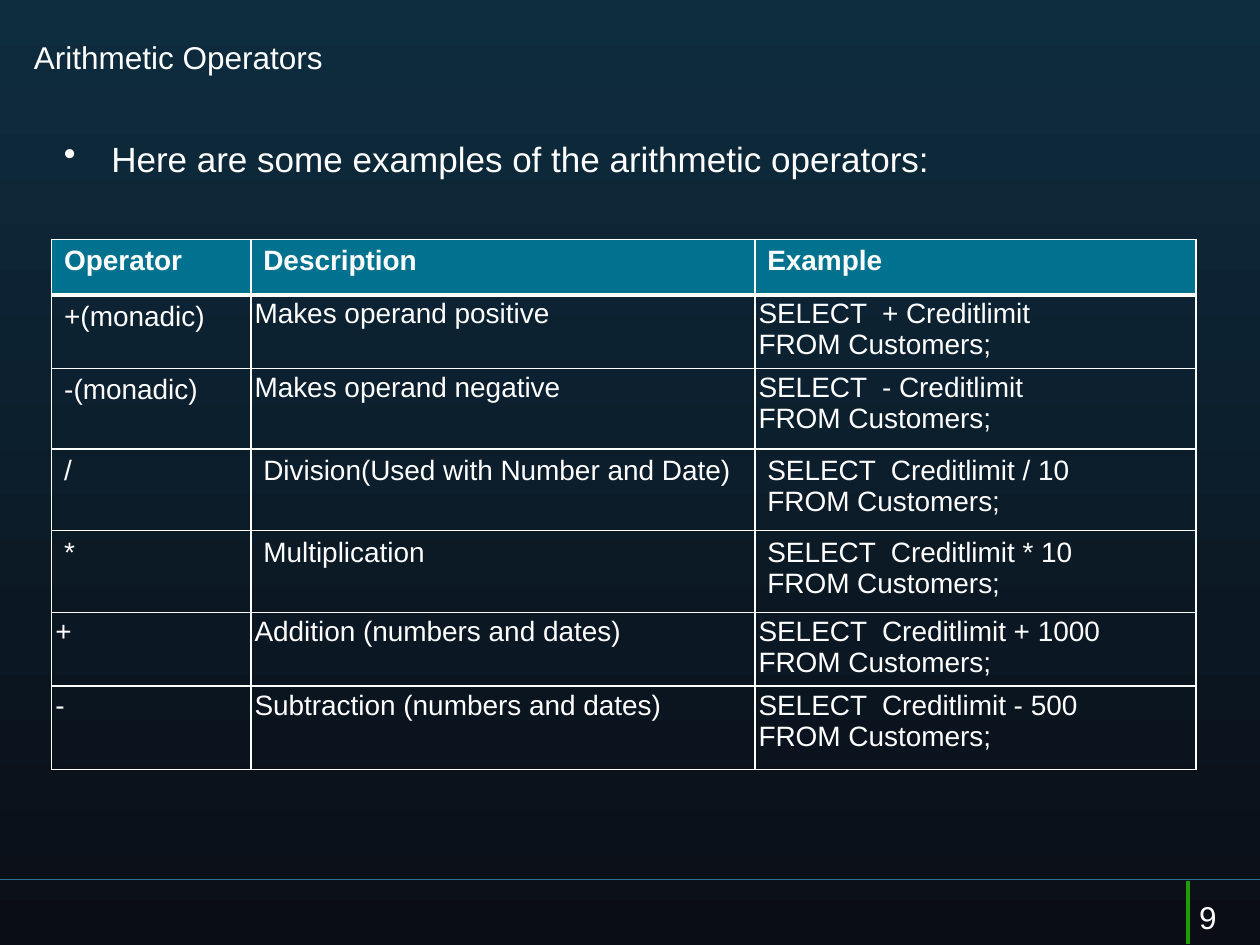
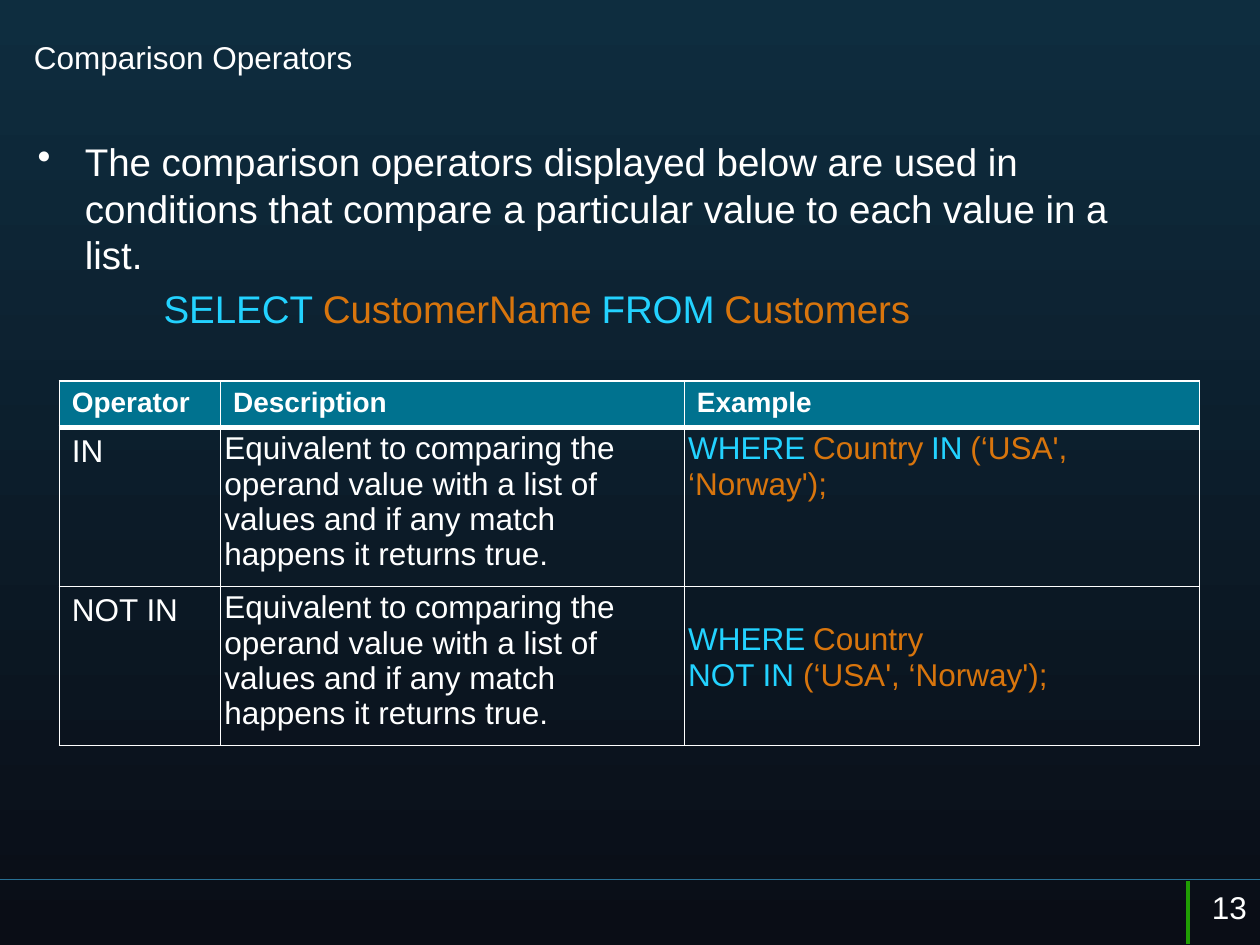
from lxml import etree
from pptx import Presentation
from pptx import util as u
from pptx.dml.color import RGBColor
from pptx.enum import shapes, text
from pptx.oxml import ns

Pt = u.Pt

# Colours and font
WHITE = RGBColor(0xFF, 0xFF, 0xFF)
TEAL = RGBColor(0x00, 0x72, 0x8F)
CYAN = RGBColor(0x23, 0xD2, 0xFF)
ORANGE = RGBColor(0xD8, 0x75, 0x0D)
RULE = RGBColor(0x28, 0x70, 0x94)
GREEN = RGBColor(0x20, 0x9D, 0x03)
BG_TOP = RGBColor(0x0E, 0x2D, 0x3F)
BG_BOTTOM = RGBColor(0x0A, 0x0D, 0x16)
FONT = "Arial"
TIGHT = 2.16  # margin of cells whose text sits close to the border

# Content: a paragraph is a string or a list of (text, colour) runs
HEADER = ("Operator", "Description", "Example")
FROM = "FROM Customers;"
MATCH = ("Equivalent to comparing the operand value with a list of values "
         "and if any match happens it returns true.")
COUNTRIES = ("(‘USA', ‘Norway');", ORANGE)
GAP = (" ", WHITE)
WHERE = [("WHERE", CYAN), GAP, ("Country", ORANGE)]

# Each row: height, first tight column, cells (lists of paragraphs)
SLIDES = [
    dict(
        title="Arithmetic Operators", number="9", number_at=(678.2, 509.8),
        body=["Here are some examples of the arithmetic operators:"],
        body_box=(29.5, 74.9, 648, 62), body_size=20,
        table_at=(29.5, 136.8), cols=(113.8, 288, 252), header_height=31.7,
        size=16, label_size=16,
        rows=[
            (42, 1, ["+(monadic)"], ["Makes operand positive"],
             ["SELECT  + Creditlimit", FROM]),
            (46, 1, ["-(monadic)"], ["Makes operand negative"],
             ["SELECT  - Creditlimit", FROM]),
            (46.8, 3, ["/"], ["Division(Used with Number and Date)"],
             ["SELECT  Creditlimit / 10", FROM]),
            (46.8, 3, ["*"], ["Multiplication"],
             ["SELECT  Creditlimit * 10", FROM]),
            (42, 0, ["+"], ["Addition (numbers and dates)"],
             ["SELECT  Creditlimit + 1000", FROM]),
            (47.6, 0, ["-"], ["Subtraction (numbers and dates)"],
             ["SELECT  Creditlimit - 500", FROM]),
        ]),
    dict(
        title="Comparison Operators", number="13", number_at=(685.4, 504),
        body=["The comparison operators displayed below are used in conditions "
              "that compare a particular value to each value in a list.",
              [("SELECT", CYAN), GAP, ("CustomerName", ORANGE), GAP,
               ("FROM", CYAN), GAP, ("Customers", ORANGE)]],
        body_box=(14.4, 75.6, 648, 129), body_size=22,
        table_at=(33.9, 217.8), cols=(92.2, 265, 294.5), header_height=26.5,
        size=18, label_size=18, lowered=(2, 2),
        rows=[
            (90.8, 1, ["IN"], [MATCH],
             [WHERE + [GAP, ("IN", CYAN), GAP, COUNTRIES]]),
            (90.8, 1, ["NOT IN"], [MATCH],
             [WHERE, [("NOT IN ", CYAN), COUNTRIES]]),
        ]),
]


def write(tf, paragraphs, size=18, bold=False, before=0):
    """Fill a text frame; bare spaces between coloured runs are 2 pt smaller."""
    tf.word_wrap = True
    for i, runs in enumerate(paragraphs):
        p = tf.paragraphs[0] if i == 0 else tf.add_paragraph()
        p.alignment = text.PP_ALIGN.LEFT
        p.space_before = Pt(before)
        for words, colour in [(runs, WHITE)] if isinstance(runs, str) else runs:
            r = p.add_run()
            r.text = words
            r.font.name, r.font.bold = FONT, bold
            r.font.size = Pt(size - 2 if words == " " else size)
            r.font.color.rgb = colour


def add_line(s, x1, y1, x2, y2, colour, width):
    c = s.shapes.add_connector(shapes.MSO_CONNECTOR.STRAIGHT,
                               Pt(x1), Pt(y1), Pt(x2), Pt(y2))
    c.line.color.rgb, c.line.width = colour, Pt(width)
    etree.SubElement(c._element.spPr, ns.qn("a:effectLst"))


def set_borders(cell, **widths):
    """Draw white borders; keys are L, R, T and B."""
    tcPr = cell._tc.get_or_add_tcPr()
    for i, side in enumerate("LRTB"):
        ln = etree.Element(ns.qn("a:ln" + side), w=str(Pt(widths.get(side, 1))))
        fill = etree.SubElement(ln, ns.qn("a:solidFill"))
        etree.SubElement(fill, ns.qn("a:srgbClr"), val=str(WHITE))
        tcPr.insert(i, ln)


def add_body(s, d):
    tf = s.shapes.add_textbox(*map(Pt, d["body_box"])).text_frame
    write(tf, d["body"], size=d["body_size"], before=d["body_size"] * 0.2)
    # First paragraph is a bullet, the code line is indented
    bullet = tf.paragraphs[0]._p.get_or_add_pPr()
    bullet.set("marL", str(Pt(27)))
    bullet.set("indent", str(Pt(-27)))
    etree.SubElement(bullet, ns.qn("a:buChar"), char="•")
    for p in tf.paragraphs[1:]:
        p._p.get_or_add_pPr().set("marL", str(Pt(72)))


def add_table(s, d):
    rows = [(d["header_height"], 3, *([h] for h in HEADER))] + d["rows"]
    heights = [row[0] for row in rows]
    x, y = d["table_at"]
    t = s.shapes.add_table(len(rows), len(HEADER), Pt(x), Pt(y),
                           Pt(sum(d["cols"])), Pt(sum(heights))).table
    t.horz_banding = False
    for col, width in zip(t.columns, d["cols"]):
        col.width = Pt(width)
    for i, (height, first_tight, *cells) in enumerate(rows):
        t.rows[i].height = Pt(height)
        for j, paragraphs in enumerate(cells):
            cell = t.cell(i, j)
            if j >= first_tight:
                cell.margin_left = cell.margin_right = Pt(TIGHT)
                cell.margin_top = cell.margin_bottom = Pt(TIGHT)
            if (i, j) == d.get("lowered"):
                cell.margin_top = Pt(TIGHT + 18.4)
            if i == 0:
                cell.fill.solid()
                cell.fill.fore_color.rgb = TEAL
            else:
                cell.fill.background()
            set_borders(cell, T=3 if i == 1 else 1, B=3 if i == 0 else 1)
            size = 16 if i == 0 else d["size"]
            write(cell.text_frame, paragraphs, size=size, bold=i == 0)


# Presentation and shared background
prs = Presentation()
prs.slide_width, prs.slide_height = Pt(720), Pt(540)
bg = prs.slide_master.background.fill
bg.gradient()
bg.gradient_angle = 270
for stop, colour in zip(bg.gradient_stops, (BG_TOP, BG_BOTTOM)):
    stop.color.rgb = colour

for d in SLIDES:
    s = prs.slides.add_slide(prs.slide_layouts[5])
    # Footer rules
    add_line(s, 720, 502.5, 0, 502.5, RULE, 0.75)
    add_line(s, 679, 503.3, 679, 539.3, GREEN, 2)
    # Title
    title = s.shapes.title
    title.left, title.top, title.width, title.height = map(Pt, (12.2, 18, 707.8, 23.8))
    title.text_frame.vertical_anchor = text.MSO_ANCHOR.TOP
    title.text_frame.auto_size = text.MSO_AUTO_SIZE.NONE
    write(title.text_frame, [d["title"]])
    # Content and page number
    add_table(s, d)
    add_body(s, d)
    number = s.shapes.add_textbox(*map(Pt, (*d["number_at"], 34.6, 28.8)))
    write(number.text_frame, [d["number"]])

prs.save("out.pptx")
